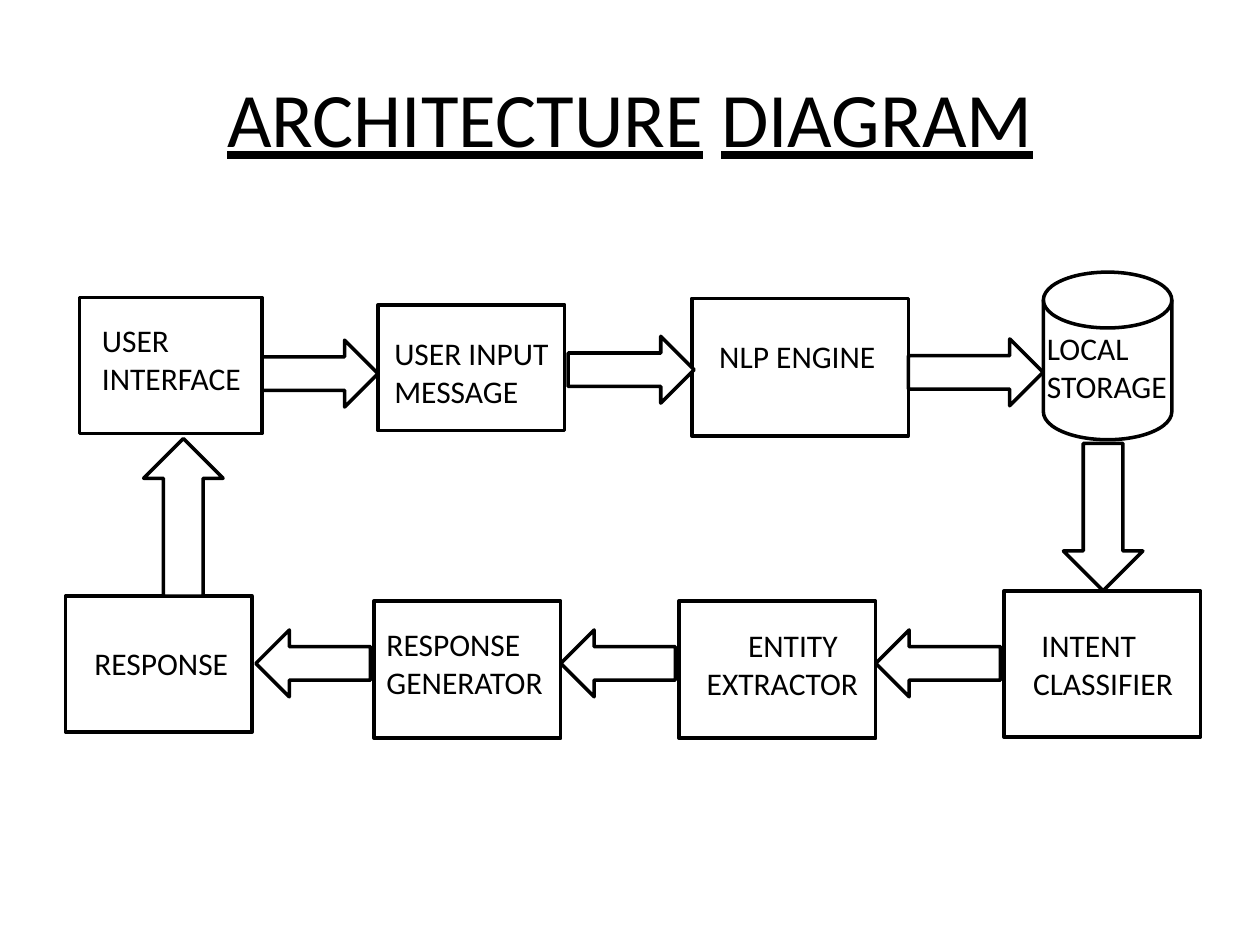
from pptx import Presentation
from pptx.dml.color import RGBColor
from pptx.enum.shapes import MSO_SHAPE
from pptx.enum.text import MSO_ANCHOR, PP_ALIGN
from pptx.util import Pt

COLORS = {"ink": "000000", "paper": "FFFFFF"}
FONT = "Calibri"
LEFT, CENTER = PP_ALIGN.LEFT, PP_ALIGN.CENTER
RECT, DISK = MSO_SHAPE.RECTANGLE, MSO_SHAPE.FLOWCHART_MAGNETIC_DISK
RIGHT, BACK = MSO_SHAPE.RIGHT_ARROW, MSO_SHAPE.LEFT_ARROW
DOWN, UP = MSO_SHAPE.DOWN_ARROW, MSO_SHAPE.UP_ARROW
ARROW_H, ARROW_W = 38.2, 45.4  # thickness of horizontal and vertical arrows

# Node: shape, box, label offset and size, wrap, paragraphs (text, align, first-line indent)
NODES = [
    (RECT, (45.4, 170, 104.4, 77.8), (5.8, 10, 100.8, 51), True,
     [("USER", LEFT, 0), ("INTERFACE", LEFT, 0)]),
    (RECT, (216, 174.2, 106.6, 72), (2.2, 13, 106.6, 51), True,
     [("USER INPUT MESSAGE", LEFT, 0)]),
    (RECT, (395.3, 170.6, 123.8, 78.5), (8.6, 18.7, 104.4, 29), False,
     [("NLP ENGINE", LEFT, 0)]),
    (DISK, (596.2, 155.5, 73.4, 95.8), (-5, 28.8, 83.5, 51), False,
     [("LOCAL", LEFT, 0), ("STORAGE", LEFT, 0)]),
    (RECT, (573.8, 337.7, 112.3, 83.5), (-5.8, 16.5, 124.6, 51), True,
     [("INTENT", LEFT, 20), ("CLASSIFIER", CENTER, 0)]),
    (RECT, (388.1, 343.4, 112.3, 78.5), (0, 10.8, 118, 51), True,
     [("ENTITY EXTRACTOR", CENTER, 12)]),
    (RECT, (213.8, 343.4, 106.6, 78.5), (0, 10.1, 105.1, 51), True,
     [("RESPONSE GENERATOR", LEFT, 0)]),
    (RECT, (37.4, 340.6, 106.6, 77.8), (9.4, 23.7, 112.3, 29), True,
     [("RESPONSE", LEFT, 0)]),
]

# Arrow: shape, left, top, length
ARROWS = [
    (RIGHT, 149.8, 194.4, 66.2), (RIGHT, 324.7, 192.2, 72), (RIGHT, 519.1, 193.7, 77),
    (DOWN, 607.7, 253.4, 84.2),
    (BACK, 500.4, 360, 71.3), (BACK, 320.4, 360, 65.5), (BACK, 146.2, 360, 65.5),
    (UP, 82.1, 250.6, 90),
]


def add_outline(s, kind, box):
    sp = s.shapes.add_shape(kind, *map(Pt, box))
    sp.shadow.inherit = False
    sp.fill.solid()
    sp.fill.fore_color.rgb = RGBColor.from_string(COLORS["paper"])
    sp.line.color.rgb = RGBColor.from_string(COLORS["ink"])
    sp.line.width = Pt(2)


def style_run(r, size, underline=None):
    r.font.name, r.font.size, r.font.underline = FONT, Pt(size), underline
    r.font.color.rgb = RGBColor.from_string(COLORS["ink"])


def add_title(s, box):
    tf = s.shapes.add_textbox(*map(Pt, box)).text_frame
    tf.word_wrap = True
    tf.vertical_anchor = MSO_ANCHOR.MIDDLE
    p = tf.paragraphs[0]
    p.alignment = CENTER
    for word, underline in (("ARCHITECTURE", True), (" ", False), ("DIAGRAM", True)):
        r = p.add_run()
        r.text = word
        style_run(r, 44, underline)


def add_label(s, box, wrap, lines):
    tf = s.shapes.add_textbox(*map(Pt, box)).text_frame
    tf.word_wrap = wrap
    tf.text = "\n".join(text for text, _, _ in lines)
    for p, (_, align, indent) in zip(tf.paragraphs, lines):
        p.alignment = align
        if indent:
            p_pr = p._p.get_or_add_pPr()
            p_pr.set("marL", "0")
            p_pr.set("indent", str(Pt(indent)))
        style_run(p.runs[0], 18)


def add_node(s, kind, box, label, wrap, lines):
    add_outline(s, kind, box)
    dx, dy, width, height = label
    add_label(s, (box[0] + dx, box[1] + dy, width, height), wrap, lines)


def add_arrow(s, kind, left, top, length):
    size = (ARROW_W, length) if kind in (UP, DOWN) else (length, ARROW_H)
    add_outline(s, kind, (left, top, *size))


def main():
    prs = Presentation()
    prs.slide_width, prs.slide_height = Pt(720), Pt(540)
    s = prs.slides.add_slide(prs.slide_layouts[6])
    add_title(s, (36, 21.6, 648, 90))
    # Components, then the flow between them
    for node in NODES:
        add_node(s, *node)
    for arrow in ARROWS:
        add_arrow(s, *arrow)
    prs.save("out.pptx")


if __name__ == "__main__":
    main()
